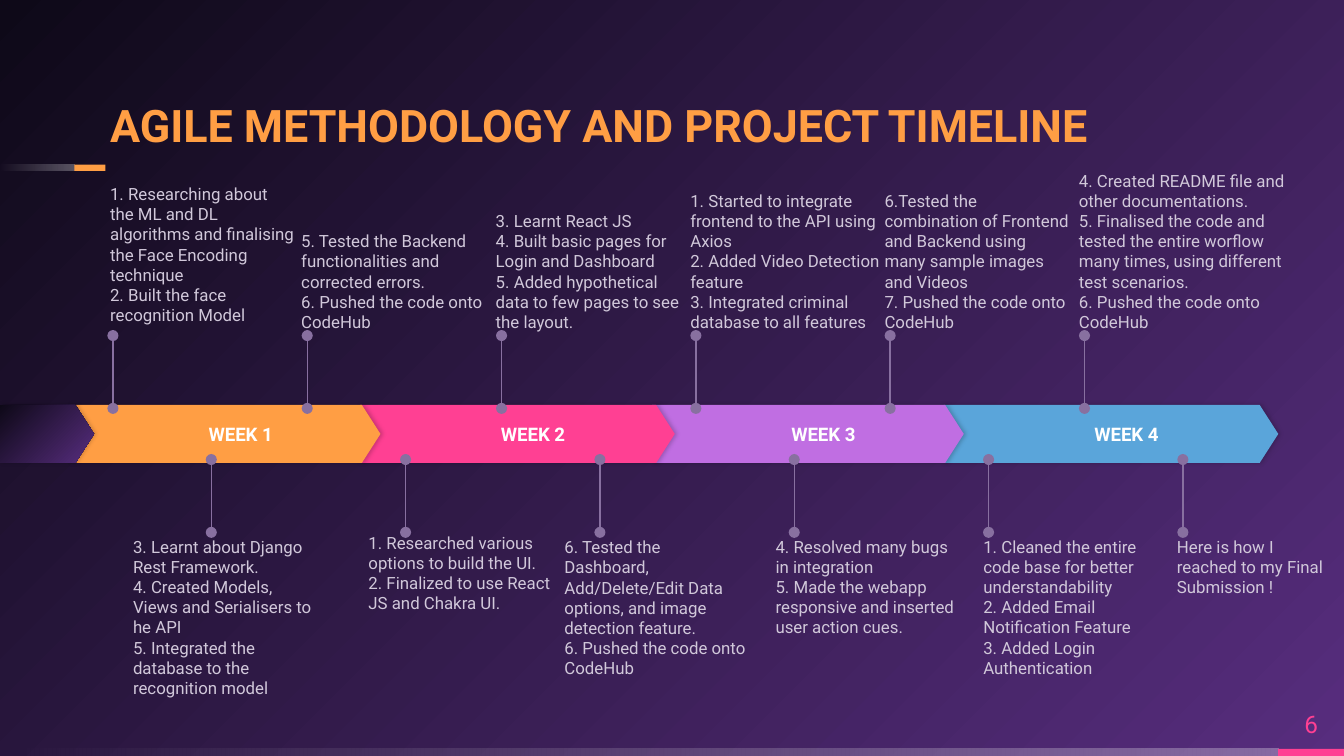
from pptx import Presentation
from pptx.dml.color import RGBColor
from pptx.enum.shapes import MSO_CONNECTOR as CONN, MSO_SHAPE as SHAPE
from pptx.enum.text import MSO_ANCHOR as ANCHOR, MSO_AUTO_SIZE as AUTO, PP_ALIGN as ALIGN
from pptx.oxml import parse_xml
from pptx.oxml.ns import nsdecls, qn
from pptx.util import Pt

NIGHT, PURPLE, WHITE = "0E0918", "572D7E", "FFFFFF"
ORANGE, PINK, VIOLET, BLUE = "FF9E44", "FF4093", "C06EE2", "5AA5DA"
STEM, NOTE = "8870A0", "D1C8DA"
STEP = 104.1

WEEKS = [("WEEK 1", 37.5, 166.3, ORANGE), ("WEEK 2", 193, 168.5, PINK),
         ("WEEK 3", 349.3, 167, VIOLET), ("WEEK 4", 505.5, 179.3, BLUE)]

UPPER = [
    (59, 174.2, 98.6, ["1. Researching about the ML and DL algorithms and finalising "
                       "the Face Encoding technique",
                       "2. Built the face recognition Model"]),
    (161.4, 177.8, 98.6, ["5. Tested the Backend functionalities and corrected errors.",
                          "6. Pushed the code onto CodeHub"]),
    (265.6, 177.8, 98.6, ["3. Learnt React JS",
                          "4. Built basic pages for Login and Dashboard",
                          "5. Added hypothetical data to few pages to see the layout."]),
    (369.8, 177.8, 104.4, ["1. Started to integrate frontend to the API using Axios",
                           "2. Added Video Detection feature",
                           "3. Integrated criminal database to all features"]),
    (473.9, 177.8, 98.6, ["6.Tested the combination of Frontend and Backend using many "
                          "sample images and Videos",
                          "7. Pushed the code onto CodeHub"]),
    (578, 177.8, 111, ["4. Created README file and other documentations.",
                       "5. Finalised the code and tested the entire worflow many times, "
                       "using different test scenarios.",
                       "6. Pushed the code onto CodeHub"]),
]

LOWER = [
    (71.3, 287.3, 98.6, ["3. Learnt about Django Rest Framework.",
                         "4. Created Models, Views and Serialisers to he API",
                         "5. Integrated the database to the recognition model"]),
    (197.4, 285.1, 98.6, ["1. Researched various options to build the UI.",
                          "2. Finalized to use React JS and Chakra UI."]),
    (302.4, 287.6, 98.6, ["6. Tested the Dashboard, Add/Delete/Edit Data options, and image "
                          "detection feature.",
                          "6. Pushed the code onto CodeHub"]),
    (415.5, 287.3, 98.6, ["4. Resolved many bugs in integration",
                          "5. Made the webapp responsive and inserted user action cues."]),
    (526.8, 287.3, 98.6, ["1. Cleaned the entire code base for better understandability",
                          "2. Added Email Notification Feature",
                          "3. Added Login Authentication"]),
    (630.5, 287.3, 81.4, ["Here is how I reached to my Final Submission !"]),
]


def rgb(color):
    """Turn a hex string into a colour."""
    return RGBColor.from_string(color)


def gradient(stops, direction):
    """Build a gradient fill from (position, colour, opacity) stops."""
    marks = "".join(f'<a:gs pos="{pos * 1000}"><a:srgbClr val="{color}">'
                    f'<a:alpha val="{alpha * 1000}"/></a:srgbClr></a:gs>'
                    for pos, color, alpha in stops)
    return parse_xml(f'<a:gradFill {nsdecls("a")} rotWithShape="1">'
                     f'<a:gsLst>{marks}</a:gsLst>{direction}</a:gradFill>')


def linear(angle):
    """Describe a linear gradient direction in degrees."""
    return f'<a:lin ang="{angle * 60000}" scaled="0"/>'


def swap_fill(props, tag, fill):
    """Replace the fill element named by tag with the given one."""
    props.replace(props.find(qn(tag)), fill)


def add_block(s, kind, box, fill):
    """Add a borderless shape filled with a hex colour or a gradient."""
    sp = s.shapes.add_shape(kind, *map(Pt, box))
    sp.shadow.inherit = False
    if isinstance(fill, str):
        sp.fill.solid()
        sp.fill.fore_color.rgb = rgb(fill)
    else:
        sp.fill.background()
        swap_fill(sp._element.spPr, "a:noFill", fill)
    sp.line.fill.background()
    return sp


def write(sp, lines, size, color, anchor, align=ALIGN.LEFT, bold=False, inset=0):
    """Write one paragraph per line into a shape."""
    tf = sp.text_frame
    tf.word_wrap, tf.auto_size, tf.vertical_anchor = True, AUTO.NONE, anchor
    tf.margin_left = Pt(inset)
    tf.margin_top = tf.margin_right = tf.margin_bottom = 0
    for i, line in enumerate(lines):
        p = tf.add_paragraph() if i else tf.paragraphs[0]
        p.alignment = align
        r = p.add_run()
        r.text = line
        r.font.name, r.font.size, r.font.bold = "Roboto", Pt(size), bold
        r.font.color.rgb = rgb(color)


def add_text(s, box, *args, **style):
    """Add a text box and write into it."""
    write(s.shapes.add_textbox(*map(Pt, box)), *args, **style)


def add_backdrop(s):
    """Fill the background with a gradient spreading from the lower right corner."""
    s.background.fill.solid()
    corner = '<a:path path="circle"><a:fillToRect l="100000" t="100000"/></a:path>'
    swap_fill(s._element.cSld.bg.bgPr, "a:solidFill",
              gradient([(0, PURPLE, 100), (100, NIGHT, 100)], corner))


def add_accent_bar(s, box, tip, color):
    """Add a bar that fades to the left and ends in a coloured tip."""
    left, top, width, height = box
    fade = gradient([(0, WHITE, 30), (100, WHITE, 0)], linear(180))
    add_block(s, SHAPE.RECTANGLE, (left, top, width - tip, height), fade)
    add_block(s, SHAPE.RECTANGLE, (left + width - tip, top, tip, height), color)


def add_title(s, box, text):
    """Place and format the title placeholder."""
    title = s.shapes.title
    title.left, title.top, title.width, title.height = map(Pt, box)
    write(title, [text], 24, ORANGE, ANCHOR.BOTTOM, bold=True)
    title.text_frame.paragraphs[0].line_spacing = 0.9


def add_band_arrow(s, box, fill):
    """Add one arrow of the timeline band with a soft shadow."""
    sp = add_block(s, SHAPE.PENTAGON, box, fill)
    sp.adjustments[0] = 0.32
    effects = sp._element.spPr.find(qn("a:effectLst"))
    effects.append(parse_xml(
        f'<a:outerShdw {nsdecls("a")} blurRad="{Pt(2.2)}" dist="{Pt(0.8)}" dir="0">'
        '<a:srgbClr val="000000"><a:alpha val="20000"/></a:srgbClr></a:outerShdw>'))
    return sp


def add_band(s, top, height):
    """Stack the week arrows from last to first, then the lead-in."""
    for label, left, width, color in reversed(WEEKS):
        sp = add_band_arrow(s, (left, top, width, height), color)
        write(sp, [label], 10, WHITE, ANCHOR.MIDDLE, ALIGN.CENTER, bold=True, inset=21.6)
    lead_in = gradient([(0, NIGHT, 100), (100, PURPLE, 100)], linear(45))
    add_band_arrow(s, (0, top, 50.4, height), lead_in)


def add_stem(s, x, start, end):
    """Add a vertical line with a dot at both ends."""
    line = s.shapes.add_connector(CONN.STRAIGHT, Pt(x), Pt(start), Pt(x), Pt(end))
    line.line.width = Pt(0.75)
    line.line.color.rgb = rgb(STEM)
    for end_tag in ("headEnd", "tailEnd"):
        line.line._ln.append(parse_xml(f'<a:{end_tag} {nsdecls("a")} type="oval"/>'))
    line._element.spPr.append(parse_xml(f'<a:effectLst {nsdecls("a")}/>'))


def add_notes_row(s, notes, first_x, start, end, anchor):
    """Add evenly spaced stems with a note anchored beside each one."""
    height = 41.8
    for i, (left, edge, width, lines) in enumerate(notes):
        add_stem(s, first_x + i * STEP, start, end)
        top = edge - height if anchor == ANCHOR.BOTTOM else edge
        add_text(s, (left, top, width, height), lines, 9, NOTE, anchor)


def main():
    """Build and save the timeline slide."""
    prs = Presentation()
    prs.slide_width, prs.slide_height = Pt(720), Pt(405)
    s = prs.slides.add_slide(prs.slide_layouts[5])
    add_backdrop(s)
    add_accent_bar(s, (0, 401.2, 720, 3.8), 35.3, PINK)
    add_accent_bar(s, (0, 88.2, 56.5, 3.4), 16.7, ORANGE)
    add_title(s, (59, 50.4, 546, 31), "AGILE METHODOLOGY AND PROJECT TIMELINE")
    add_text(s, (684.7, 374, 35.3, 27), ["6"], 13, PINK, ANCHOR.MIDDLE, ALIGN.CENTER)
    add_band(s, 217, 31)
    add_notes_row(s, UPPER, 60.5, 218.8, 179.8, ANCHOR.BOTTOM)
    add_notes_row(s, LOWER, 113.2, 285.2, 246.2, ANCHOR.TOP)
    prs.save("out.pptx")


if __name__ == "__main__":
    main()
